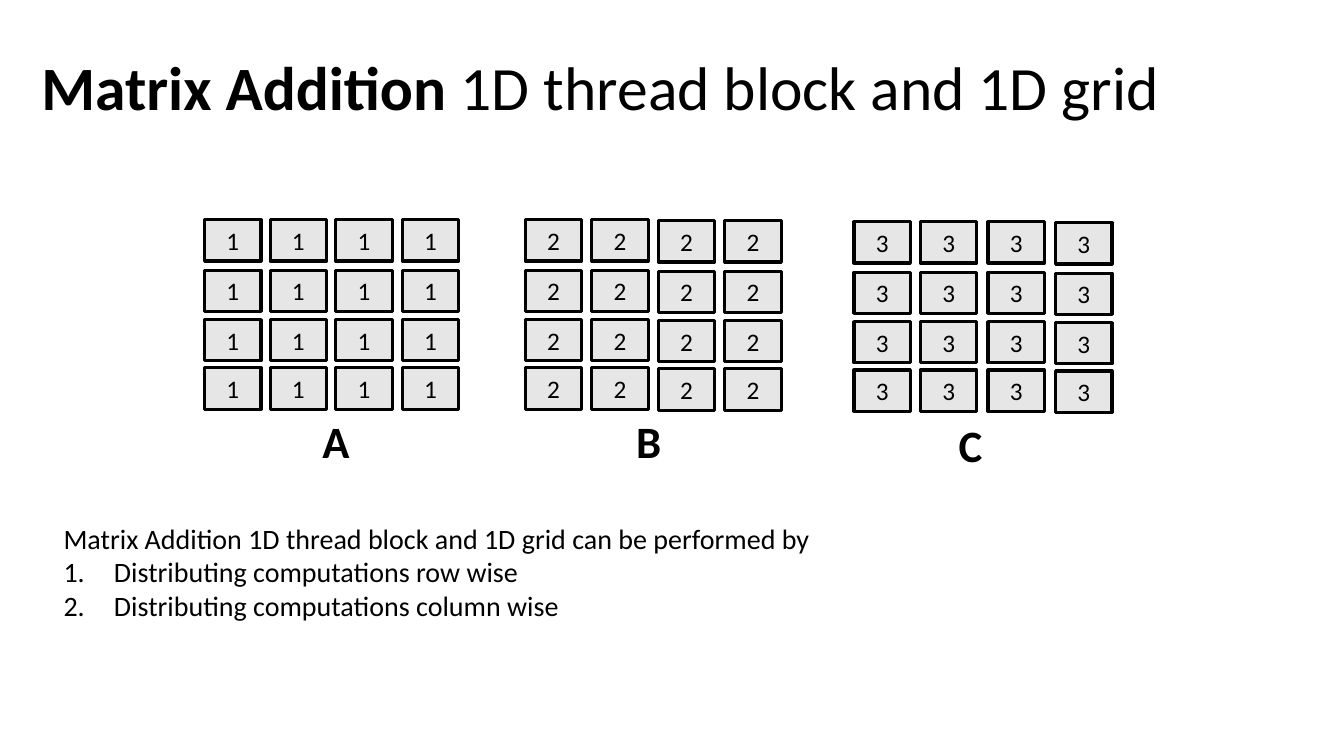
from dataclasses import dataclass

from lxml.etree import SubElement
from pptx import Presentation
from pptx.dml.color import RGBColor
from pptx.enum.shapes import MSO_SHAPE
from pptx.enum.text import MSO_ANCHOR, MSO_AUTO_SIZE, PP_ALIGN
from pptx.oxml.ns import qn
from pptx.util import Emu, Pt

EMU_PER_PX = 9144  # 100 px to the inch


def px(length):
    return Emu(length * EMU_PER_PX)


@dataclass(frozen=True)
class Theme:
    font: str = "Calibri"
    ink: str = "000000"
    cell_fill: str = "E7E6E6"
    title_size: int = 44
    label_size: int = 32
    body_size: int = 20
    cell_size: int = 18
    border: float = 2.25


def write(para, text, *, theme, size, bold=False, align=PP_ALIGN.LEFT):
    """Add a formatted span to a paragraph."""
    para.alignment = align
    span = para.add_run()
    span.text = text
    span.font.name = theme.font
    span.font.size = Pt(size)
    span.font.bold = bold
    span.font.color.rgb = RGBColor.from_string(theme.ink)


class SlideBuilder:
    def __init__(self, page, theme):
        self.page = page
        self.theme = theme

    def place(self, box, left, top, width, height):
        box.left, box.top = px(left), px(top)
        box.width, box.height = px(width), px(height)

    def title(self, bold_text, plain_text, *bounds):
        box = self.page.shapes.title
        self.place(box, *bounds)
        frame = box.text_frame
        frame.auto_size = MSO_AUTO_SIZE.NONE
        frame.vertical_anchor = MSO_ANCHOR.MIDDLE
        para = frame.paragraphs[0]
        para.line_spacing = 0.9
        for text, bold in ((bold_text, True), (plain_text, False)):
            write(para, text, theme=self.theme, size=self.theme.title_size, bold=bold)

    def numbered_list(self, intro, items, *bounds):
        box = self.page.placeholders[1]
        self.place(box, *bounds)
        frame = box.text_frame
        frame.auto_size = MSO_AUTO_SIZE.NONE
        for index, text in enumerate([intro, *items]):
            para = frame.add_paragraph() if index else frame.paragraphs[0]
            indent = px(50) if index else 0
            properties = para._p.get_or_add_pPr()
            properties.set("marL", str(indent))
            properties.set("indent", str(-indent))
            if index:
                SubElement(properties, qn("a:buFont"), typeface="+mj-lt")
                SubElement(properties, qn("a:buAutoNum"), type="arabicPeriod")
            else:
                SubElement(properties, qn("a:buNone"))
            para.space_before = Pt(0)
            write(para, text, theme=self.theme, size=self.theme.body_size)

    def cell(self, group, text, *bounds):
        box = group.shapes.add_shape(MSO_SHAPE.RECTANGLE, *map(px, bounds))
        box.shadow.inherit = False
        box.fill.solid()
        box.fill.fore_color.rgb = RGBColor.from_string(self.theme.cell_fill)
        box.line.color.rgb = RGBColor.from_string(self.theme.ink)
        box.line.width = Pt(self.theme.border)
        box.text_frame.vertical_anchor = MSO_ANCHOR.MIDDLE
        write(box.text_frame.paragraphs[0], text, theme=self.theme,
              size=self.theme.cell_size, align=PP_ALIGN.CENTER)

    def matrix(self, value, left, top, span, column_drops):
        """Draw a 4 x 4 grid whose first and last columns start span px apart."""
        group = self.page.shapes.add_group_shape()
        for column, drop in enumerate(column_drops):
            for row_offset in (0, 50, 99, 147):
                self.cell(group, value, left + column * span // 3,
                          top + drop + row_offset, 56, 41)

    def label(self, text, *bounds):
        box = self.page.shapes.add_textbox(*map(px, bounds))
        box.text_frame.word_wrap = False
        write(box.text_frame.paragraphs[0], text, theme=self.theme,
              size=self.theme.label_size, bold=True)


def main():
    deck = Presentation()
    deck.slide_width, deck.slide_height = px(1333), px(750)
    page = deck.slides.add_slide(deck.slide_layouts[1])
    builder = SlideBuilder(page, Theme())

    # Title
    builder.title("Matrix Addition ", "1D thread block and 1D grid", 31, 17, 1150, 145)

    # Matrices A, B and their sum C
    builder.matrix("1", 203, 218, 196, (0, 0, 0, 0))
    builder.matrix("2", 521, 218, 198, (0, 0, 1, 1))
    builder.matrix("3", 847, 220, 200, (0, 0, 0, 1))
    builder.label("A", 310, 406, 47, 64)
    builder.label("B", 621, 406, 45, 64)
    builder.label("C", 941, 409, 45, 64)

    # Ways to distribute the work
    builder.numbered_list(
        "Matrix Addition 1D thread block and 1D grid can be performed by",
        ["Distributing computations row wise", "Distributing computations column wise"],
        53, 512, 773, 178)

    deck.save("out.pptx")


if __name__ == "__main__":
    main()
